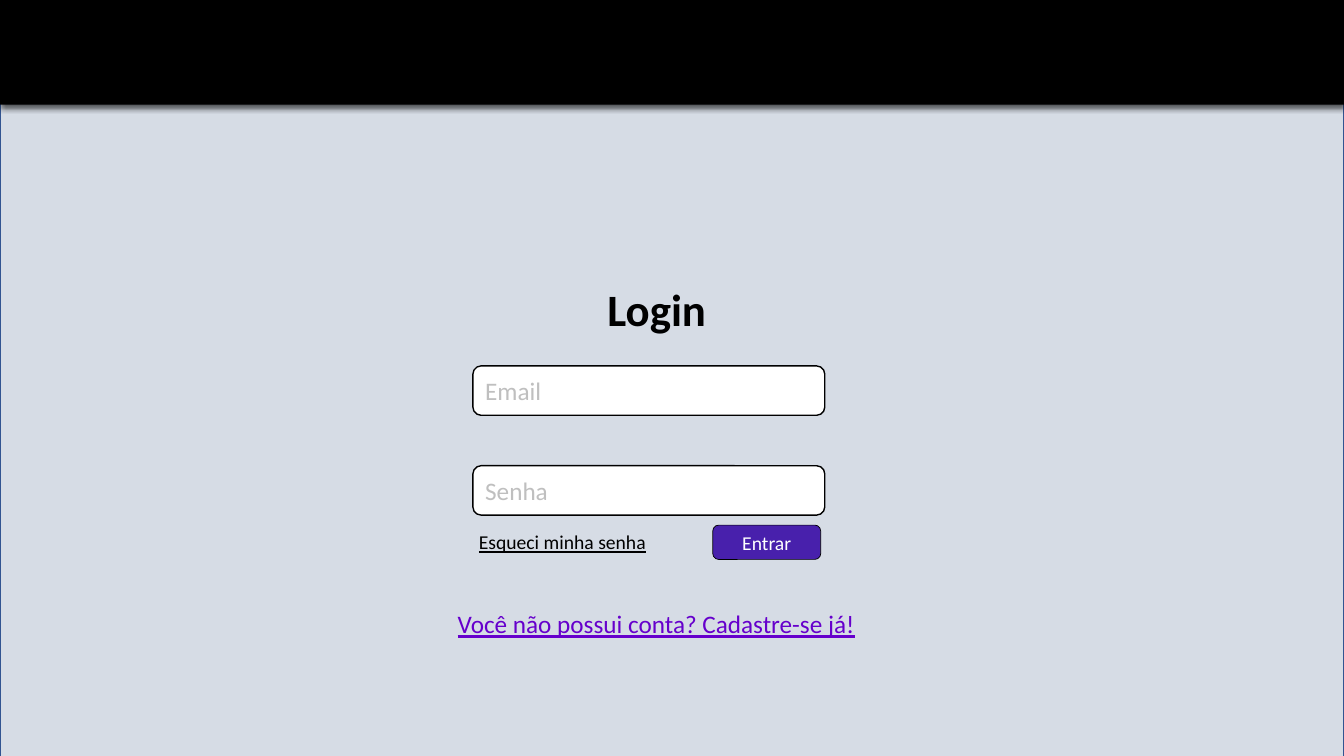
import lxml.etree
import pptx
import pptx.dml.color
import pptx.enum.shapes
import pptx.enum.text
import pptx.oxml.ns
import pptx.util
from pptx.util import Inches

SHAPE = pptx.enum.shapes.MSO_SHAPE
ALIGN = pptx.enum.text.PP_ALIGN
ANCHOR = pptx.enum.text.MSO_ANCHOR
FIELD_LEFT, FIELD_WIDTH, FIELD_HEIGHT = 4.69, 3.49, 0.49
FIELD_TOP, FIELD_STEP = 3.63, 0.99


def color(hex_value):
    return pptx.dml.color.RGBColor.from_string(hex_value)


def write_text(shape, text, size=18, text_color="000000", align=ALIGN.LEFT,
               anchor=ANCHOR.TOP, bold=False, underline=False):
    frame = shape.text_frame
    frame.word_wrap = True
    frame.auto_size = pptx.enum.text.MSO_AUTO_SIZE.NONE
    frame.vertical_anchor = anchor
    paragraph = frame.paragraphs[0]
    paragraph.alignment = align
    run = paragraph.add_run()
    run.text = text
    run.font.name = "Calibri"
    run.font.size = pptx.util.Pt(size)
    run.font.color.rgb = color(text_color)
    run.font.bold = bold
    run.font.underline = underline


def add_box(slide, kind, left, top, width, height, fill, line=None, line_width=1):
    shape = slide.shapes.add_shape(
        kind, Inches(left), Inches(top), Inches(width), Inches(height))
    shape.shadow.inherit = False
    shape.fill.solid()
    shape.fill.fore_color.rgb = color(fill)
    if line:
        shape.line.color.rgb = color(line)
        shape.line.width = pptx.util.Pt(line_width)
    else:
        shape.line.fill.background()
    return shape


def add_drop_shadow(shape, blur, distance, opacity):
    """Cast a black shadow straight down from the shape."""
    qn = pptx.oxml.ns.qn
    effects = shape.element.spPr.find(qn("a:effectLst"))
    shadow = lxml.etree.SubElement(
        effects, qn("a:outerShdw"), blurRad=str(pptx.util.Pt(blur)),
        dist=str(pptx.util.Pt(distance)), dir="5400000", algn="t", rotWithShape="0")
    black = lxml.etree.SubElement(shadow, qn("a:srgbClr"), val="000000")
    lxml.etree.SubElement(black, qn("a:alpha"), val=str(opacity * 1000))


def add_link_text(slide, text, left, top, width, height, **text_format):
    box = slide.shapes.add_textbox(
        Inches(left), Inches(top), Inches(width), Inches(height))
    write_text(box, text, underline=True, **text_format)


def place_title(slide, text, left, top, width, height):
    title = slide.shapes.title
    title.left, title.top = Inches(left), Inches(top)
    title.width, title.height = Inches(width), Inches(height)
    write_text(title, text, size=32, align=ALIGN.CENTER, bold=True)
    # Bring the title in front of the page panel
    slide.shapes.element.append(title.element)


def main():
    presentation = pptx.Presentation()
    presentation.slide_width = Inches(13.33)
    presentation.slide_height = Inches(7.5)
    slide = presentation.slides.add_slide(presentation.slide_layouts[5])

    # Page panel and header bar
    add_box(slide, SHAPE.RECTANGLE, 0, 0.07, 13.33, 7.56, "D6DCE5", "325491")
    header = add_box(slide, SHAPE.RECTANGLE, 0, -0.02, 13.33, 1.06, "000000")
    add_drop_shadow(header, blur=4.5, distance=1.5, opacity=63)

    # Input fields
    for index, label in enumerate(("Email", "Senha")):
        field = add_box(slide, SHAPE.ROUNDED_RECTANGLE, FIELD_LEFT,
                        FIELD_TOP + index * FIELD_STEP, FIELD_WIDTH, FIELD_HEIGHT,
                        "FFFFFF", "000000")
        write_text(field, label, text_color="BFBFBF", anchor=ANCHOR.MIDDLE)

    # Password help and login button
    add_link_text(slide, "Esqueci minha senha", 4.65, 5.21, 1.98, 0.34, size=14)
    button = add_box(slide, SHAPE.ROUNDED_RECTANGLE, 7.07, 5.21, 1.07, 0.34,
                     "4820AC", "000000", line_width=0.5)
    write_text(button, "Entrar", size=14, text_color="FFFFFF",
               align=ALIGN.CENTER, anchor=ANCHOR.MIDDLE)

    # Heading and sign-up prompt
    place_title(slide, "Login", 5.41, 2.74, 2.21, 0.64)
    add_link_text(slide, "Você não possui conta? Cadastre-se já!",
                  4.44, 5.99, 5.27, 0.4, text_color="6600CC")

    presentation.save("out.pptx")


if __name__ == "__main__":
    main()
